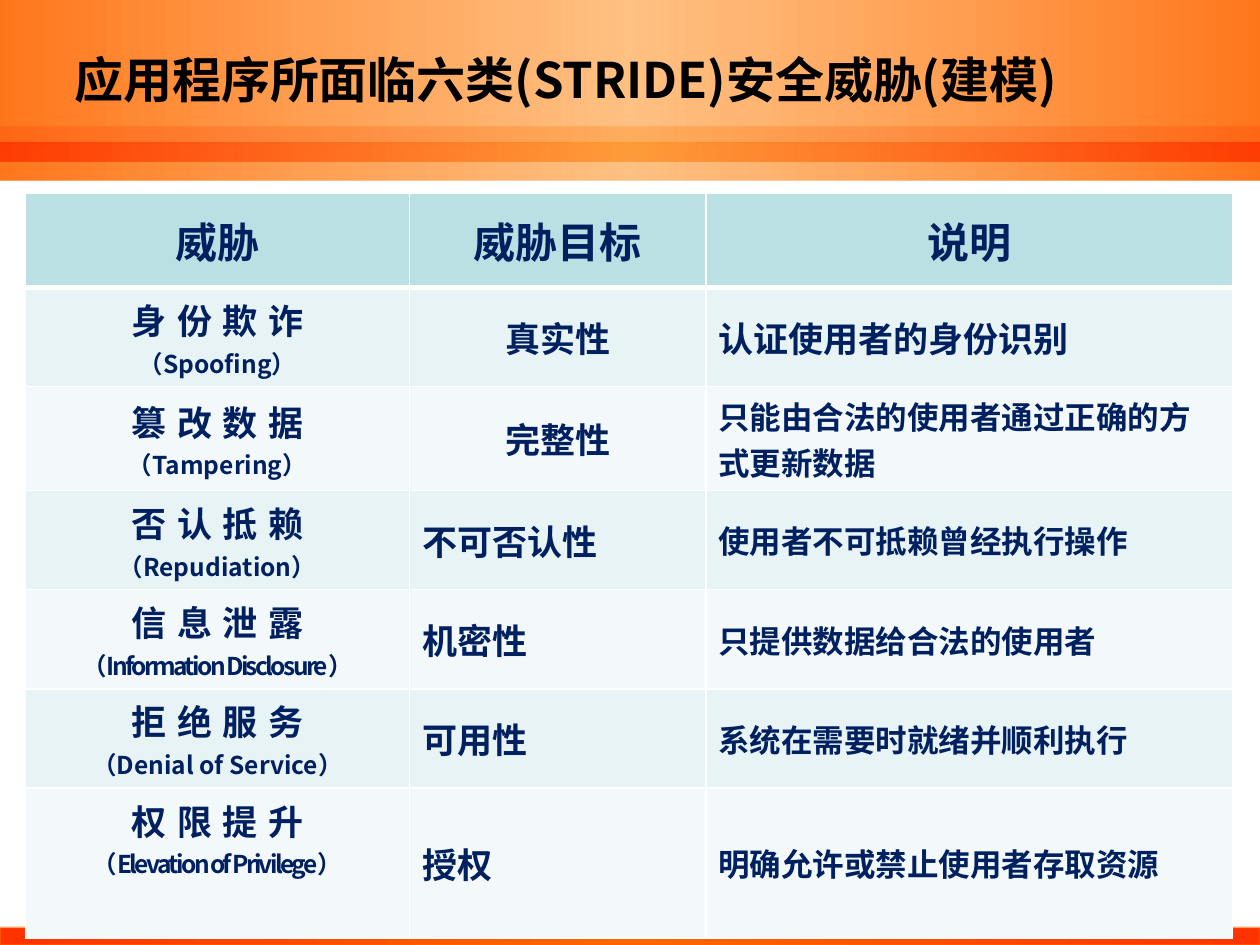
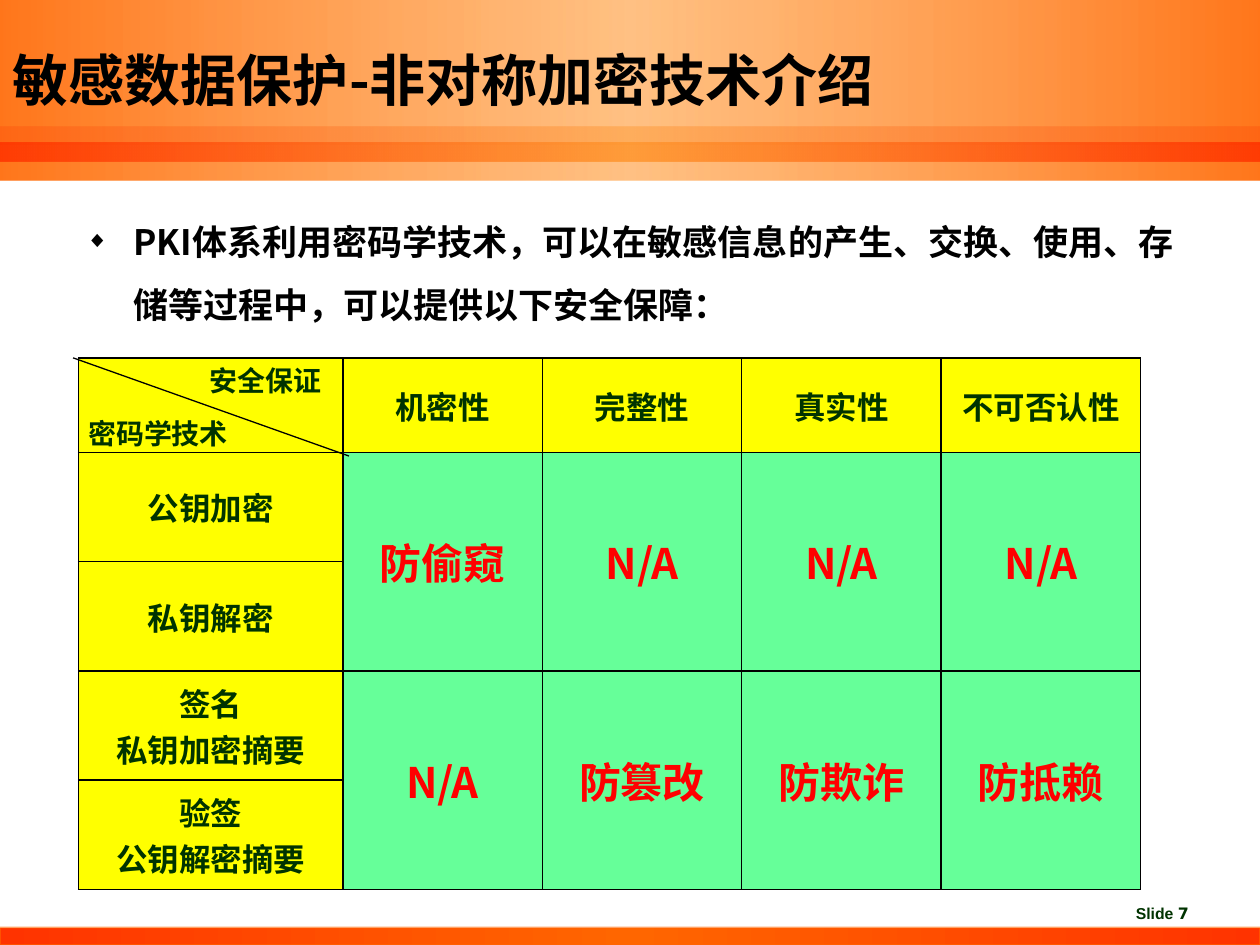
"""Build two slides on STRIDE threats and asymmetric encryption."""
import lxml.etree
import pptx
import pptx.dml.color
import pptx.enum.shapes
import pptx.enum.text
import pptx.oxml.ns
import pptx.util

Pt = pptx.util.Pt
rgb = pptx.dml.color.RGBColor.from_string
qn = pptx.oxml.ns.qn
add_xml = lxml.etree.SubElement
LEFT, CENTER = pptx.enum.text.PP_ALIGN.LEFT, pptx.enum.text.PP_ALIGN.CENTER
MIDDLE = pptx.enum.text.MSO_ANCHOR.MIDDLE
RECTANGLE = pptx.enum.shapes.MSO_SHAPE.RECTANGLE
FONT = "Noto Sans CJK SC"
BLACK, WHITE, NAVY, GREEN, RED = "000000", "FFFFFF", "002060", "003300", "FF0000"
YELLOW, MINT = "FFFF00", "66FF99"


def write(frame, lines, color, align=CENTER):
    """Fill a text frame with (text, size, letter spacing) lines."""
    for number, (text, size, spacing) in enumerate(lines):
        paragraph = frame.add_paragraph() if number else frame.paragraphs[0]
        paragraph.text = text
        paragraph.alignment = align
        font = paragraph.font
        font.size, font.bold, font.name = Pt(size), True, FONT
        font.color.rgb = rgb(color)
        properties = paragraph._p.pPr.find(qn("a:defRPr"))
        properties.find(qn("a:latin")).addnext(
            properties.makeelement(qn("a:ea"), {"typeface": FONT}))
        if spacing:
            properties.set("spc", str(int(spacing * 100)))


def paint_cell(cell, fill, border, top=1, bottom=1):
    """Give a table cell its four borders, its fill and middle anchoring."""
    tc_pr = cell._tc.get_or_add_tcPr()
    for side, width in (("L", 1), ("R", 1), ("T", top), ("B", bottom)):
        line = add_xml(tc_pr, qn(f"a:ln{side}"), w=str(Pt(width)))
        add_xml(add_xml(line, qn("a:solidFill")), qn("a:srgbClr"), val=border)
    cell.fill.solid()
    cell.fill.fore_color.rgb = rgb(fill)
    cell.vertical_anchor = MIDDLE


prs = pptx.Presentation()
prs.slide_width, prs.slide_height = Pt(720), Pt(540)

slides = []
for layout, heading, size, left, width in (
        (5, "应用程序所面临六类(STRIDE)安全威胁(建模)", 28, 35.3, 648),
        (1, "敏感数据保护-非对称加密技术介绍", 32, 0, 720)):
    slide = prs.slides.add_slide(prs.slide_layouts[layout])
    title = slide.shapes.title
    title.left, title.top, title.width, title.height = Pt(left), Pt(0), Pt(width), Pt(90)
    title.text_frame.auto_size = pptx.enum.text.MSO_AUTO_SIZE.NONE
    title.text_frame.vertical_anchor = MIDDLE
    write(title.text_frame, [(heading, size, 0)], BLACK, LEFT)
    slides.append(slide)
threat_slide, pki_slide = slides

bands = (
    (0, 103, "FF6600", 89, "FF9933", 60),
    (530, 10, "FF3300", 100, "FF6600", 100),
    (81.4, 10.8, "FF3300", 85, "FF9933", 90),
    (72.7, 10.1, "FF3300", 22, "FF9933", 47),
)
for index, (top, height, edge, edge_alpha, middle, middle_alpha) in enumerate(bands):
    band = threat_slide.shapes.add_shape(RECTANGLE, Pt(0), Pt(top), Pt(720), Pt(height))
    band.shadow.inherit = False
    band.fill.gradient()
    band.fill.gradient_angle = 0
    stops = band.element.spPr.find(".//" + qn("a:gsLst"))
    stops.clear()
    for position, color, alpha in ((0, edge, edge_alpha), (50, middle, middle_alpha),
                                   (100, edge, edge_alpha)):
        stop = add_xml(stops, qn("a:gs"), pos=str(position * 1000))
        tint = add_xml(stop, qn("a:srgbClr"), val=color)
        add_xml(tint, qn("a:alpha"), val=str(alpha * 1000))
    if top == 530:
        band.rotation = 180
        band.line.width = Pt(1)
        band.line.color.rgb = rgb("FF6600")
        outline = band.element.spPr.find(qn("a:ln")).find(".//" + qn("a:srgbClr"))
        add_xml(outline, qn("a:alpha"), val="60000")
    else:
        band.line.fill.background()
    prs.slide_master.shapes.element.insert(2 + index, band.element)

threats = (
    ("身份欺诈", "Spoofing", 0, "真实性", CENTER, "认证使用者的身份识别", 20),
    ("篡改数据", "Tampering", 0, "完整性", CENTER,
     "只能由合法的使用者通过正确的方式更新数据", 18),
    ("否认抵赖", "Repudiation", 0, "不可否认性", LEFT, "使用者不可抵赖曾经执行操作", 18),
    ("信息泄露", "Information Disclosure", -1.5, "机密性", LEFT,
     "只提供数据给合法的使用者", 18),
    ("拒绝服务", "Denial of Service", 0, "可用性", LEFT, "系统在需要时就绪并顺利执行", 18),
    ("权限提升", "Elevation of Privilege", -1.5, "授权", LEFT,
     "明确允许或禁止使用者存取资源", 18),
)
threat_table = threat_slide.shapes.add_table(
    7, 3, Pt(14.6), Pt(110.4), Pt(690), Pt(394)).table
threat_table.first_row = threat_table.horz_banding = False
for column, width in zip(threat_table.columns, (219.4, 169.4, 301)):
    column.width = Pt(width)
for row in threat_table.rows:
    row.height = Pt(53.9)
threat_table.rows[6].height = Pt(70.6)
for cell, label in zip(threat_table.rows[0].cells, ("威胁", "威胁目标", "说明")):
    paint_cell(cell, "BBE0E3", WHITE, bottom=3)
    write(cell.text_frame, [(label, 24, 0)], NAVY)
for number, (name, english, spacing, goal, goal_align, note, note_size) in enumerate(threats, 1):
    threat, target, remark = threat_table.rows[number].cells
    for cell in (threat, target, remark):
        paint_cell(cell, "E7F3F4" if number % 2 else "F3F9FA", WHITE,
                   top=3 if number == 1 else 1)
    write(threat.text_frame, [(name, 20, 6), (f"（{english}）", 14, spacing)], NAVY)
    write(target.text_frame, [(goal, 20, 0)], NAVY, goal_align)
    write(remark.text_frame, [(note, note_size, 0)], NAVY, LEFT)
threat_table.cell(6, 0).margin_bottom = Pt(32.7)

intro = pki_slide.placeholders[1]
intro.left, intro.top, intro.width, intro.height = Pt(41.8), Pt(110.2), Pt(648), Pt(84.2)
intro.text_frame.auto_size = pptx.enum.text.MSO_AUTO_SIZE.NONE
write(intro.text_frame, [(
    "PKI体系利用密码学技术，可以在敏感信息的产生、交换、使用、存储等过程中，"
    "可以提供以下安全保障：", 20, 0)], BLACK, LEFT)
guarantee = intro.text_frame.paragraphs[0]
guarantee.line_spacing, guarantee.space_before = 1.5, Pt(4)
indent = guarantee._p.pPr
indent.set("marL", str(Pt(27)))
indent.set("indent", str(Pt(-27)))
for tag, name, value in (("a:buSzPct", "val", "65000"), ("a:buChar", "char", "◆")):
    indent.find(qn("a:defRPr")).addprevious(indent.makeelement(qn(tag), {name: value}))

properties = ("机密性", "完整性", "真实性", "不可否认性")
techniques = (("公钥加密",), ("私钥解密",), ("签名", "私钥加密摘要"), ("验签", "公钥解密摘要"))
protections = (("防偷窥", "N/A", "N/A", "N/A"), ("N/A", "防篡改", "防欺诈", "防抵赖"))
pki_table = pki_slide.shapes.add_table(
    5, 5, Pt(44.9), Pt(204.6), Pt(607.4), Pt(303.6)).table
pki_table.first_row = pki_table.horz_banding = False
for number, column in enumerate(pki_table.columns):
    column.width = Pt(114 if number else 151)
for number, row in enumerate(pki_table.rows):
    row.height = Pt(62.4 if number else 54)
    for position, cell in enumerate(row.cells):
        paint_cell(cell, MINT if number and position else YELLOW, BLACK)
        cell.margin_left = cell.margin_right = Pt(5)
        cell.margin_top = cell.margin_bottom = Pt(0)
for column, label in enumerate(properties, 1):
    write(pki_table.cell(0, column).text_frame, [(label, 18, 0)], GREEN)
for row, lines in enumerate(techniques, 1):
    write(pki_table.cell(row, 0).text_frame, [(line, 18, 0) for line in lines], GREEN)
for row, effects in zip((1, 3), protections):
    for column, effect in enumerate(effects, 1):
        cell = pki_table.cell(row, column)
        cell.merge(pki_table.cell(row + 1, column))
        write(cell.text_frame, [(effect, 24, 0)], RED)

for label, left, top, width in (("安全保证", 106.6, 204.5, 90), ("密码学技术", 39.6, 234.7, 101.5)):
    axis = pki_slide.shapes.add_textbox(Pt(left), Pt(top), Pt(width), Pt(26.6))
    axis.text_frame.word_wrap = True
    write(axis.text_frame, [(label, 16, 0)], GREEN)

diagonal = pki_slide.shapes.add_connector(
    pptx.enum.shapes.MSO_CONNECTOR.STRAIGHT, Pt(41.8), Pt(204.5), Pt(199.4), Pt(260.6))
diagonal.line.width = Pt(0.75)
diagonal.line.color.rgb = rgb(BLACK)
add_xml(diagonal.element.spPr, qn("a:effectLst"))

page = pki_slide.shapes.add_textbox(Pt(642), Pt(512.6), Pt(78), Pt(18))
page.text_frame.word_wrap = True
page_line = page.text_frame.paragraphs[0]
page_line.font.size, page_line.font.bold = Pt(9), True
page_line.font.color.rgb = rgb(GREEN)
for text, name in (("Slide ", "Arial"), ("7", "DejaVu Sans")):
    run = page_line.add_run()
    run.text, run.font.name = text, name

prs.save("out.pptx")
